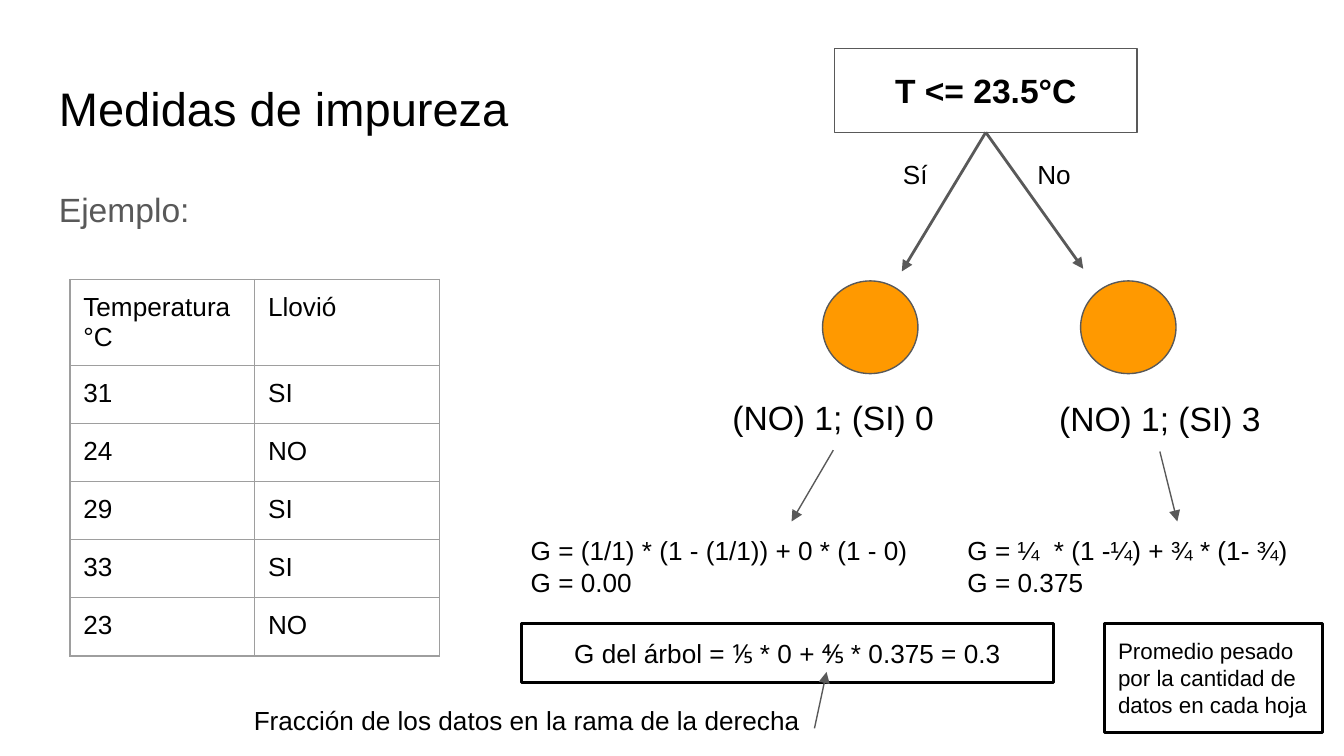
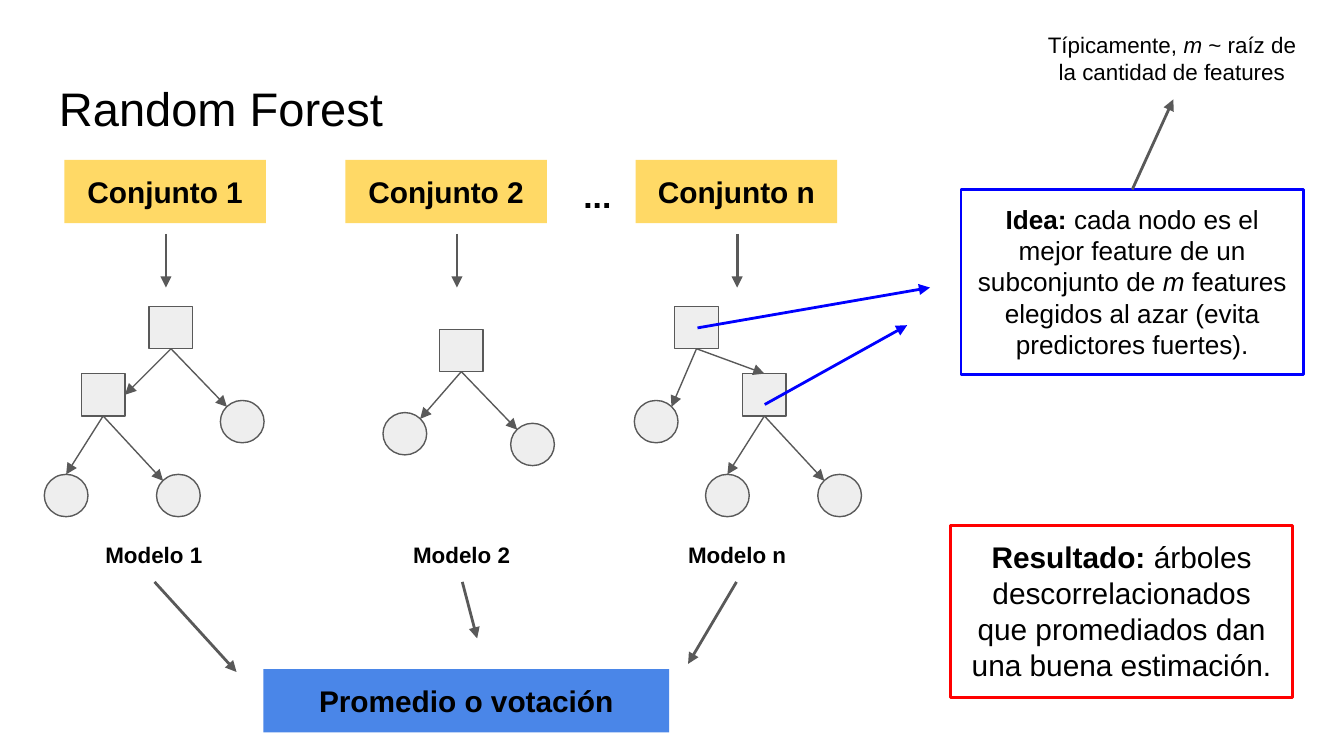
from enum import Enum
from typing import NamedTuple, Optional, Union

from lxml.etree import SubElement
from pptx import Presentation
from pptx.dml.color import RGBColor
from pptx.enum.shapes import MSO_CONNECTOR, MSO_SHAPE
from pptx.enum.text import MSO_ANCHOR, MSO_AUTO_SIZE, PP_ALIGN
from pptx.oxml import parse_xml
from pptx.oxml.ns import nsdecls, qn
from pptx.util import Inches, Length, Pt

FONT = "Arial"
BLACK = RGBColor(0x00, 0x00, 0x00)
WHITE = RGBColor(0xFF, 0xFF, 0xFF)
GRAY = RGBColor(0x59, 0x59, 0x59)
PALE_GRAY = RGBColor(0xEE, 0xEE, 0xEE)
BORDER_GRAY = RGBColor(0x9E, 0x9E, 0x9E)
ORANGE = RGBColor(0xFF, 0x99, 0x00)
YELLOW = RGBColor(0xFF, 0xD9, 0x66)
SKY_BLUE = RGBColor(0x4A, 0x86, 0xE8)
BLUE = RGBColor(0x00, 0x00, 0xFF)
RED = RGBColor(0xFF, 0x00, 0x00)

SLIDE_WIDTH, SLIDE_HEIGHT = Inches(10), Inches(5.625)
CELL = SLIDE_WIDTH / 100  # the grid has 100 columns and 56.25 rows
INSET = Inches(0.1)
THIN, THICK = 0.75, 1.5
NODE_WIDTH, NODE_HEIGHT = 3.25, 3.15
BOTTOM, TOP = 2, 0


class Box(NamedTuple):
    column: float
    row: float
    columns: float
    rows: float


class Point(NamedTuple):
    column: float
    row: float


class Run(NamedTuple):
    text: str
    bold: bool = False
    italic: bool = False


class Style(NamedTuple):
    size: float
    bold: bool = False
    align: PP_ALIGN = PP_ALIGN.LEFT
    color: RGBColor = BLACK
    anchor: MSO_ANCHOR = MSO_ANCHOR.TOP
    grows: bool = True
    line_spacing: Optional[float] = None
    space_after: float = 0


class Look(NamedTuple):
    fill: Optional[RGBColor] = None
    line: Optional[RGBColor] = None
    weight: float = THIN


class Arrow(NamedTuple):
    start: Point
    end: Point
    color: RGBColor = GRAY
    weight: float = THICK


class Site(Enum):
    """Where a branch meets its child: share of width, share of height, join index."""

    TOP = (0.5, 0, 0)
    RIGHT = (1, 0.5, 3)
    UPPER_LEFT = (0.15, 0.15, None)
    UPPER_RIGHT = (0.85, 0.15, None)


class Node(NamedTuple):
    column: float
    row: float
    is_leaf: bool = True


class Branch(NamedTuple):
    parent: int
    child: int
    site: Site


class Tree(NamedTuple):
    nodes: list[Node]
    branches: list[Branch]


Paragraph = Union[str, list[Run]]

TITLE = Style(25.2, grows=False)
SUBTITLE = Style(18, color=GRAY, grows=False, line_spacing=1.15, space_after=12)
BODY = Style(14)
BODY_CENTERED = Style(14, align=PP_ALIGN.CENTER)
NOTE = Style(12)
NOTE_CENTERED = Style(12, align=PP_ALIGN.CENTER)
COUNTS = Style(18, align=PP_ALIGN.CENTER)
CONDITION = Style(18, True, PP_ALIGN.CENTER, anchor=MSO_ANCHOR.MIDDLE, grows=False)
BANNER = Style(16, True, PP_ALIGN.CENTER)
RESULT = Style(16, align=PP_ALIGN.CENTER)
MODEL = Style(12, True, PP_ALIGN.CENTER)
ELLIPSIS = Style(18, True, PP_ALIGN.CENTER)
NODE_LOOK = Look(PALE_GRAY, GRAY)


def grid(cells: float) -> Length:
    return Length(round(cells * CELL))


def set_text(frame, paragraphs: list[Paragraph], style: Style) -> None:
    for index, content in enumerate(paragraphs):
        paragraph = frame.paragraphs[0] if index == 0 else frame.add_paragraph()
        paragraph.alignment = style.align
        paragraph.line_spacing = style.line_spacing
        paragraph.space_after = Pt(style.space_after)
        font = paragraph.font
        font.name, font.size = FONT, Pt(style.size)
        font.color.rgb = style.color
        if isinstance(content, str):
            font.bold = style.bold
            paragraph.add_run().text = content
            continue
        for part in content:
            run = paragraph.add_run()
            run.text = part.text
            run.font.bold, run.font.italic = part.bold, part.italic


def fill_frame(frame, paragraphs: list[Paragraph], style: Style) -> None:
    frame.word_wrap = True
    frame.auto_size = MSO_AUTO_SIZE.SHAPE_TO_FIT_TEXT if style.grows else MSO_AUTO_SIZE.NONE
    frame.vertical_anchor = style.anchor
    frame.margin_left = frame.margin_right = INSET
    frame.margin_top = frame.margin_bottom = INSET
    set_text(frame, paragraphs, style)


def add_text(shapes, box: Box, style: Style, *paragraphs: Paragraph) -> None:
    fill_frame(shapes.add_textbox(*map(grid, box)).text_frame, list(paragraphs), style)


def add_figure(shapes, kind: MSO_SHAPE, box: Box, look: Look):
    figure = shapes.add_shape(kind, *map(grid, box))
    figure.shadow.inherit = False
    if look.fill is None:
        figure.fill.background()
    else:
        figure.fill.solid()
        figure.fill.fore_color.rgb = look.fill
    if look.line is None:
        figure.line.fill.background()
    else:
        figure.line.color.rgb = look.line
        figure.line.width = Pt(look.weight)
    return figure


def add_panel(shapes, box: Box, look: Look, style: Style, content: Paragraph):
    panel = add_figure(shapes, MSO_SHAPE.RECTANGLE, box, look)
    fill_frame(panel.text_frame, [content], style)
    return panel


def add_arrow(shapes, arrow: Arrow):
    connector = shapes.add_connector(
        MSO_CONNECTOR.STRAIGHT, *map(grid, arrow.start), *map(grid, arrow.end))
    connector.line.color.rgb = arrow.color
    connector.line.width = Pt(arrow.weight)
    SubElement(connector.line._get_or_add_ln(), qn("a:tailEnd"), type="triangle")
    SubElement(connector._element.spPr, qn("a:effectLst"))
    return connector


def add_tree(shapes, tree: Tree) -> None:
    members = shapes.add_group_shape().shapes
    figures = [
        add_figure(members, MSO_SHAPE.OVAL if node.is_leaf else MSO_SHAPE.RECTANGLE,
                   Box(node.column, node.row, NODE_WIDTH, NODE_HEIGHT), NODE_LOOK)
        for node in tree.nodes
    ]
    for branch in tree.branches:
        parent, child = tree.nodes[branch.parent], tree.nodes[branch.child]
        across, down, join = branch.site.value
        start = Point(parent.column + NODE_WIDTH / 2, parent.row + NODE_HEIGHT)
        end = Point(child.column + across * NODE_WIDTH, child.row + down * NODE_HEIGHT)
        connector = add_arrow(members, Arrow(start, end, weight=THIN))
        connector.begin_connect(figures[branch.parent], BOTTOM)
        if join is not None:
            connector.end_connect(figures[branch.child], join)


def add_rain_table(shapes, corner: Point, rows: list[tuple[str, str]]) -> None:
    column_width, row_height = 13.75, 4.33
    table = shapes.add_table(
        len(rows), 2, *map(grid, corner),
        grid(2 * column_width), grid(len(rows) * row_height)).table
    table.first_row = table.horz_banding = False
    for row_index, row in enumerate(rows):
        for column_index, value in enumerate(row):
            cell = table.cell(row_index, column_index)
            cell.margin_left = cell.margin_right = INSET
            cell.margin_top = cell.margin_bottom = INSET
            set_text(cell.text_frame, [value], BODY)
            cell.fill.background()
            for position, side in enumerate("LRTB"):
                cell._tc.get_or_add_tcPr().insert(position, parse_xml(
                    f'<a:ln{side} {nsdecls("a")} w="{Pt(THIN)}"><a:solidFill>'
                    f'<a:srgbClr val="{BORDER_GRAY}"/></a:solidFill></a:ln{side}>'))


def add_title(shapes, title: str) -> None:
    add_text(shapes, Box(3.4, 4.9, 39.6, 6.3), TITLE, title)


def build_impurity(shapes) -> None:
    add_title(shapes, "Medidas de impureza")
    add_text(shapes, Box(3.4, 12.6, 39.6, 5.2), SUBTITLE, "Ejemplo:")
    add_rain_table(shapes, Point(5.2, 20.8), [
        ("Temperatura °C", "Llovió"), ("31", "SI"), ("24", "NO"),
        ("29", "SI"), ("33", "SI"), ("23", "NO")])

    root = add_panel(shapes, Box(62.1, 3.6, 22.5, 6.25), Look(WHITE, GRAY),
                     CONDITION, "T <= 23.5°C")
    for tip in (Point(67.1, 20.2), Point(80.6, 20)):
        add_arrow(shapes, Arrow(Point(73.35, 9.85), tip)).begin_connect(root, BOTTOM)
    for column, answer in ((66.2, "Sí"), (76.2, "No")):
        add_text(shapes, Box(column, 10.8, 4.7, 4.4), BODY, answer)
    for column in (61.2, 80.4):
        add_figure(shapes, MSO_SHAPE.OVAL, Box(column, 20.9, 7.1, 6.9), Look(ORANGE, GRAY))
    add_text(shapes, Box(53.1, 28.5, 17.8, 5), COUNTS, "(NO) 1; (SI) 0")
    add_text(shapes, Box(77.4, 28.6, 17.8, 5), COUNTS, "(NO) 1; (SI) 3")

    add_text(shapes, Box(38.5, 38.8, 30.8, 6.7), BODY,
             "G = (1/1) * (1 - (1/1)) + 0 * (1 - 0)", "G = 0.00")
    add_text(shapes, Box(71, 38.8, 27.5, 6.7), BODY,
             "G = ¼  * (1 -¼) + ¾ * (1- ¾)", "G = 0.375")
    outline = Look(line=BLACK, weight=THICK)
    add_panel(shapes, Box(38.8, 46.4, 39.6, 4.4), outline, BODY_CENTERED,
              "G del árbol = ⅕ * 0 + ⅘ * 0.375 = 0.3")
    add_panel(shapes, Box(82.2, 46.4, 16.2, 8.1), outline, NOTE,
              "Promedio pesado por la cantidad de datos en cada hoja")
    add_text(shapes, Box(17.9, 51.4, 55.4, 4.4), BODY,
             "Fracción de los datos en la rama de la derecha")
    for start, end in ((Point(62, 33.5), Point(58.9, 38.8)),
                       (Point(86.3, 33.6), Point(87.6, 38.8)),
                       (Point(60.6, 54.2), Point(61.5, 50))):
        add_arrow(shapes, Arrow(start, end, weight=THIN))


def lower_split(column: float) -> list[Node]:
    """A square with two leaves under it; column is the left leaf's edge."""
    return [Node(column + 2.75, 27.8, False), Node(column, 35.3), Node(column + 8.35, 35.3)]


def build_forest(shapes) -> None:
    add_title(shapes, "Random Forest")
    for column, suffix in ((4.8, "1"), (25.7, "2"), (47.3, "n")):
        add_panel(shapes, Box(column, 11.9, 15, 4.7), Look(YELLOW), BANNER,
                  f"Conjunto {suffix}")
    add_text(shapes, Box(40.7, 12, 7.5, 5), ELLIPSIS, "...")

    lower_branches = [Branch(2, 3, Site.TOP), Branch(2, 4, Site.UPPER_LEFT)]
    for tree in (
        Tree([Node(11.1, 22.8, False), Node(16.4, 29.8), *lower_split(3.3)],
             [Branch(0, 2, Site.RIGHT), Branch(0, 1, Site.UPPER_LEFT), *lower_branches]),
        Tree([Node(32.7, 24.5, False), Node(38, 31.5), Node(28.5, 30.7)],
             [Branch(0, 2, Site.UPPER_RIGHT), Branch(0, 1, Site.UPPER_LEFT)]),
        Tree([Node(50.2, 22.8, False), Node(47.2, 29.8), *lower_split(52.5)],
             [Branch(0, 2, Site.TOP), Branch(0, 1, Site.UPPER_RIGHT), *lower_branches]),
    ):
        add_tree(shapes, tree)

    for column, suffix in ((5.9, "1"), (28.8, "2"), (49.3, "n")):
        add_text(shapes, Box(column, 39.3, 11.1, 4), MODEL, f"Modelo {suffix}")
    for column in (12.35, 34, 54.85):
        add_arrow(shapes, Arrow(Point(column, 17.4), Point(column, 21.4)))
    add_panel(shapes, Box(19.6, 49.8, 30.2, 4.7), Look(SKY_BLUE), BANNER,
              "Promedio o votación")
    for column, tip in ((11.5, Point(17.6, 50)), (34.4, Point(35.5, 47.5)),
                        (54.8, Point(51.2, 49.4))):
        add_arrow(shapes, Arrow(Point(column, 43.3), tip))

    idea = add_panel(shapes, Box(71.5, 14.1, 25.5, 13.8), Look(line=BLUE, weight=THICK),
                     BODY_CENTERED, [
        Run("Idea:", bold=True), Run(" cada nodo es el mejor feature de un subconjunto de "),
        Run("m", italic=True), Run(" features elegidos al azar (evita predictores fuertes).")])
    add_panel(shapes, Box(70.7, 39.1, 25.5, 12.8), Look(line=RED, weight=THICK), RESULT, [
        Run("Resultado:", bold=True),
        Run(" árboles descorrelacionados que promediados dan una buena estimación.")])
    add_arrow(shapes, Arrow(Point(51.9, 24.4), Point(69.2, 21.4), BLUE))
    add_arrow(shapes, Arrow(Point(56.9, 30.1), Point(67.5, 24.2), BLUE))
    add_text(shapes, Box(76.6, 1.3, 21.2, 6.1), NOTE_CENTERED, [
        Run("Típicamente, "), Run("m", italic=True),
        Run(" ~ raíz de la cantidad de features")])
    add_arrow(shapes, Arrow(Point(84.25, 14.1), Point(87.3, 7.4))).begin_connect(idea, TOP)


def main() -> None:
    deck = Presentation()
    deck.slide_width, deck.slide_height = SLIDE_WIDTH, SLIDE_HEIGHT
    blank = deck.slide_layouts[6]
    for build in (build_impurity, build_forest):
        build(deck.slides.add_slide(blank).shapes)
    deck.save("out.pptx")


if __name__ == "__main__":
    main()
